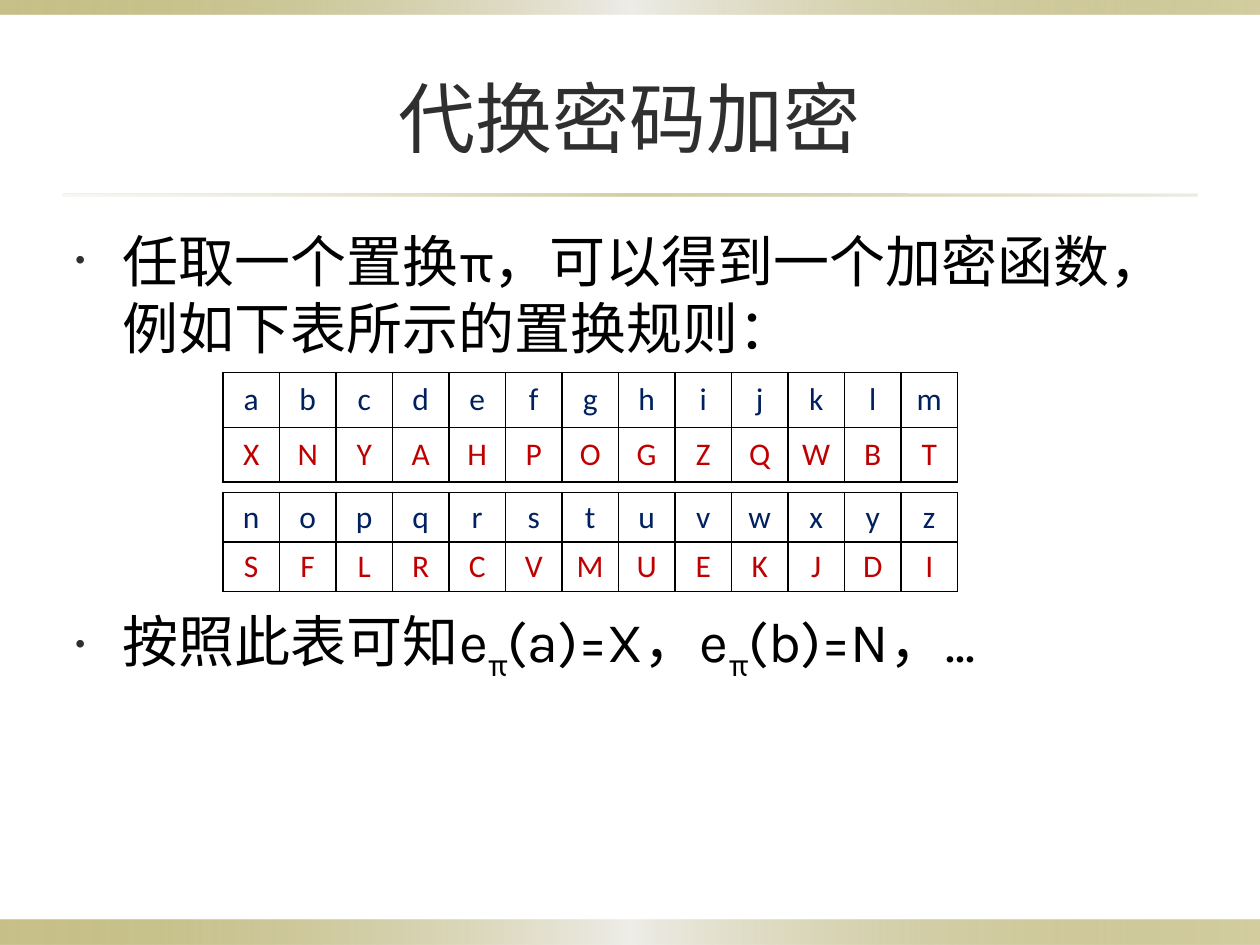
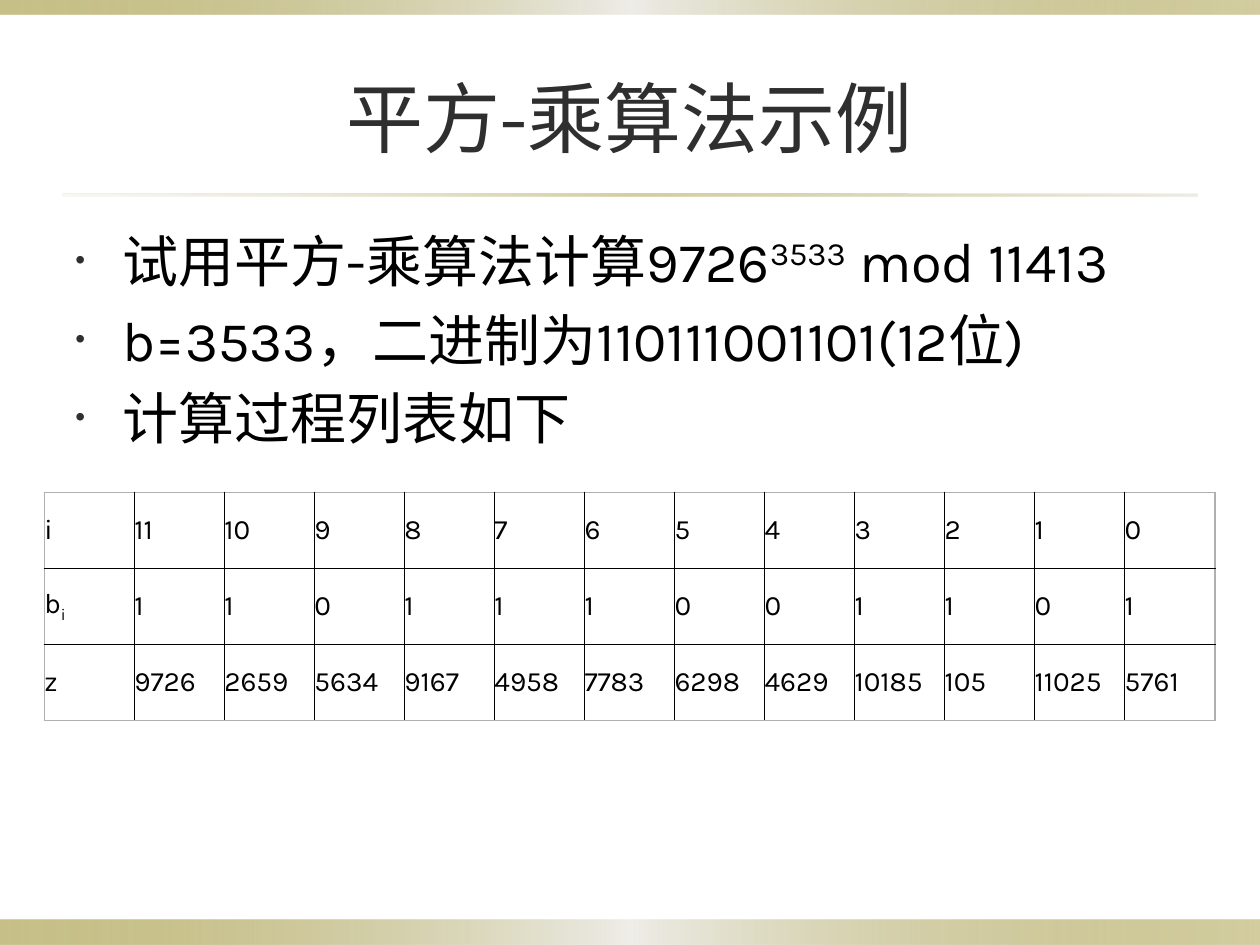
from lxml import etree
from pptx import Presentation
from pptx.dml.color import RGBColor
from pptx.enum import shapes, text
from pptx.oxml import ns
from pptx.util import Pt

BLACK = RGBColor(0x00, 0x00, 0x00)
CHARCOAL = RGBColor(0x2F, 0x2F, 0x2F)
GREY = RGBColor(0xB0, 0xB0, 0xB0)
NAVY = RGBColor(0x00, 0x20, 0x60)
RED = RGBColor(0xC0, 0x00, 0x00)
OLIVE = RGBColor(0x91, 0x84, 0x15)
PALE = RGBColor(0xEE, 0xED, 0xE8)
SAND = RGBColor(0xDC, 0xD9, 0xCC)

# Gradient stops: position, colour, opacity (all in percent)
BAND = [(0, OLIVE, 50), (50, PALE, 100), (100, OLIVE, 40)]
RULE = [(0, SAND, 20), (50, OLIVE, 40), (100, SAND, 50)]

SUB, SUPER = -25, 30


def add_xml(parent, tag, **attrs):
    el = etree.SubElement(parent, ns.qn(tag))
    for key, value in attrs.items():
        el.set(key, str(value))
    return el


class Deck:
    font = "Karla"
    width, height = 720, 540
    margin = 36

    def __init__(self):
        self.prs = Presentation()
        self.prs.slide_width = Pt(self.width)
        self.prs.slide_height = Pt(self.height)
        self.slide = None

    def add_slide(self, title):
        self.slide = self.prs.slides.add_slide(self.prs.slide_layouts[5])
        inner = self.width - 2 * self.margin
        self.gradient_bar(0, 525.6, self.width, 14.4, BAND)
        self.gradient_bar(0, 0, self.width, 8.4, BAND)
        self.gradient_bar(self.margin, 110.88, inner, 1.44, RULE)

        sp = self.slide.shapes.title
        sp.left, sp.top = Pt(self.margin), Pt(21.6)
        sp.width, sp.height = Pt(inner), Pt(90)
        tf = sp.text_frame
        tf.vertical_anchor = text.MSO_ANCHOR.MIDDLE
        p = tf.paragraphs[0]
        p.alignment = text.PP_ALIGN.CENTER
        self.runs(p, title, 44, CHARCOAL)

    def gradient_bar(self, x, y, w, h, stops):
        sp = self.slide.shapes.add_shape(
            shapes.MSO_SHAPE.RECTANGLE, Pt(x), Pt(y), Pt(w), Pt(h))
        sp.shadow.inherit = False
        sp.line.fill.background()
        sp.fill.gradient()
        sp.fill.gradient_angle = 0
        stop_list = sp.element.spPr.find(".//" + ns.qn("a:gsLst"))
        for old in list(stop_list):
            stop_list.remove(old)
        for pos, color, opacity in stops:
            stop = add_xml(stop_list, "a:gs", pos=pos * 1000)
            clr = add_xml(stop, "a:srgbClr", val=color)
            add_xml(clr, "a:alpha", val=opacity * 1000)

    def runs(self, p, content, size, color, font=None):
        """Fill a paragraph from a string or from (text, baseline) pairs."""
        pairs = [(content, 0)] if isinstance(content, str) else content
        for words, baseline in pairs:
            r = p.add_run()
            r.text = words
            r.font.size = Pt(size)
            r.font.name = font or self.font
            r.font.color.rgb = color
            if baseline:
                r._r.get_or_add_rPr().set("baseline", str(baseline * 1000))

    def bullets(self, items, gap=6.5):
        sp = self.slide.shapes.add_textbox(
            Pt(self.margin), Pt(126), Pt(self.width - 2 * self.margin), Pt(369))
        tf = sp.text_frame
        tf.word_wrap = True
        for i, item in enumerate(items):
            p = tf.add_paragraph() if i else tf.paragraphs[0]
            pPr = p._p.get_or_add_pPr()
            pPr.set("marL", str(Pt(27)))
            pPr.set("indent", str(-Pt(27)))
            add_xml(add_xml(pPr, "a:buClr"), "a:srgbClr", val=CHARCOAL)
            add_xml(pPr, "a:buSzPct", val=50000)
            add_xml(pPr, "a:buFont", typeface="Arial")
            add_xml(pPr, "a:buChar", char="•")
            if i:
                p.space_before = Pt(gap)
            self.runs(p, item, 32, BLACK)

    def table(self, rows, x, y, w, row_h, size, colors, insets,
              font=None, align=text.PP_ALIGN.LEFT, outline=BLACK):
        """Draw a ruled grid; colors holds one text colour per row."""
        n_rows, n_cols = len(rows), len(rows[0])
        table = self.slide.shapes.add_table(
            n_rows, n_cols, Pt(x), Pt(y), Pt(w), Pt(row_h * n_rows)).table
        table.first_row = table.horz_banding = False
        for col in table.columns:
            col.width = Pt(w / n_cols)
        for i, (row, color) in enumerate(zip(rows, colors)):
            table.rows[i].height = Pt(row_h)
            for j, content in enumerate(row):
                cell = table.cell(i, j)
                cell.margin_left = cell.margin_right = Pt(insets[0])
                cell.margin_top = cell.margin_bottom = Pt(insets[1])
                cell.vertical_anchor = text.MSO_ANCHOR.MIDDLE
                p = cell.text_frame.paragraphs[0]
                p.alignment = align
                self.runs(p, content, size, color, font)
                outer = {"L": j == 0, "R": j == n_cols - 1,
                         "T": i == 0, "B": i == n_rows - 1}
                self.borders(cell, outer, outline)
                cell.fill.background()

    def borders(self, cell, outer, outline):
        tcPr = cell._tc.get_or_add_tcPr()
        for side, is_outer in outer.items():
            ln = add_xml(tcPr, f"a:ln{side}", w=Pt(1))
            fill = add_xml(ln, "a:solidFill")
            add_xml(fill, "a:srgbClr", val=outline if is_outer else BLACK)


def substitution_slide(deck):
    deck.add_slide("代换密码加密")
    deck.bullets([
        "任取一个置换π，可以得到一个加密函数，例如下表所示的置换规则：",
        [("按照此表可知e", 0), ("π", SUB), ("(a)=X，e", 0), ("π", SUB),
         ("(b)=N，...", 0)],
    ], gap=140)
    for plain, cipher, top, row_h in (
            ("abcdefghijklm", "XNYAHPOGZQWBT", 213, 31.2),
            ("nopqrstuvwxyz", "SFLRCVMUEKJDI", 281.4, 28.3)):
        deck.table([plain, cipher], 127.4, top, 420, row_h, 18, (NAVY, RED),
                   (5.4, 0), font="Calibri", align=text.PP_ALIGN.CENTER)


def square_multiply_slide(deck):
    deck.add_slide("平方-乘算法示例")
    deck.bullets([
        [("试用平方-乘算法计算9726", 0), ("3533", SUPER), (" mod 11413", 0)],
        "b=3533，二进制为110111001101(12位)",
        "计算过程列表如下",
    ])
    z = "9726 2659 5634 9167 4958 7783 6298 4629 10185 105 11025 5761"
    rows = [
        ["i", *(str(i) for i in range(11, -1, -1))],
        [[("b", 0), ("i", SUB)], *"110111001101"],
        ["z", *z.split()],
    ]
    deck.table(rows, 25.3, 281.4, 669, 43.4, 16, [BLACK] * 3, (0, 3.6),
               outline=GREY)


def main():
    deck = Deck()
    substitution_slide(deck)
    square_multiply_slide(deck)
    deck.prs.save("out.pptx")


if __name__ == "__main__":
    main()
